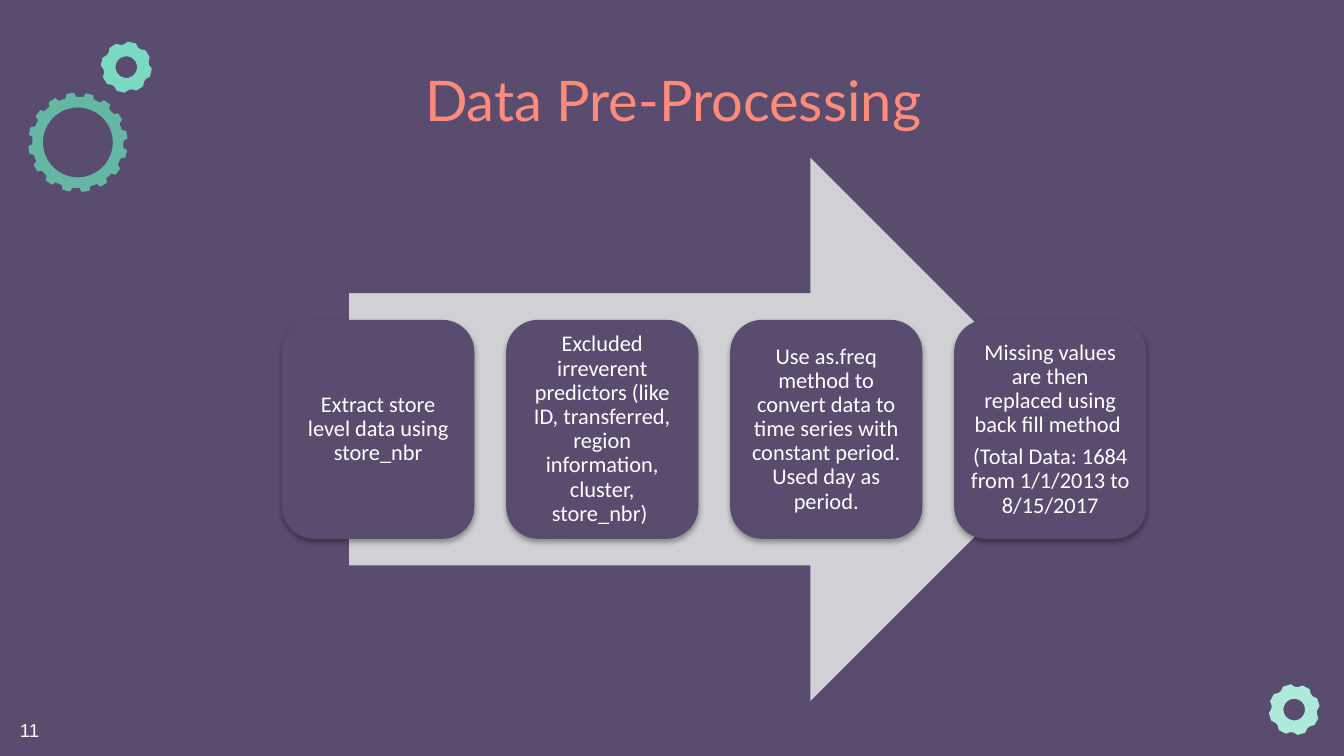
from math import cos, radians, sin

from lxml import etree
from pptx import Presentation
from pptx.dml.color import RGBColor
from pptx.enum.shapes import MSO_SHAPE
from pptx.enum.text import MSO_ANCHOR, MSO_AUTO_SIZE, PP_ALIGN
from pptx.oxml.ns import qn
from pptx.util import Inches, Pt

RIGHT_ARROW = MSO_SHAPE.RIGHT_ARROW
ROUNDED_RECTANGLE = MSO_SHAPE.ROUNDED_RECTANGLE
TOP, MIDDLE = MSO_ANCHOR.TOP, MSO_ANCHOR.MIDDLE
LEFT, CENTER = PP_ALIGN.LEFT, PP_ALIGN.CENTER
NO_AUTOFIT = MSO_AUTO_SIZE.NONE

PURPLE = RGBColor(0x59, 0x4C, 0x6F)
GREY = RGBColor(0xD1, 0xD0, 0xD5)
CORAL = RGBColor(0xFF, 0x8B, 0x7B)
WHITE = RGBColor(0xFF, 0xFF, 0xFF)
DARK_TEAL = RGBColor(0x64, 0xB7, 0xA2)
TEAL = RGBColor(0x7B, 0xD9, 0xC1)
LIGHT_TEAL = RGBColor(0xAE, 0xEA, 0xDA)

STEPS = [
    ["Extract store level data using store_nbr"],
    ["Excluded irreverent predictors (like ID, transferred, region "
     "information, cluster, store_nbr) "],
    ["Use as.freq method to convert data to time series with constant "
     "period. Used day as period."],
    ["Missing values are then replaced using back fill method ",
     "(Total Data: 1684 from 1/1/2013 to 8/15/2017"],
]
STEP_LEFT, STEP_TOP, STEP_PITCH = 2.1, 2.38, 5 / 3
STEP_WIDTH, STEP_HEIGHT = 1.43, 1.63


def write_text(shape, lines, *, size, font, color, align=LEFT, anchor=TOP,
               inset_x=0.1, inset_y=0.1, line_spacing=1.0, space_after=0):
    """Fill a shape with formatted paragraphs."""
    frame = shape.text_frame
    frame.word_wrap = True
    frame.auto_size = NO_AUTOFIT
    frame.vertical_anchor = anchor
    frame.margin_left = frame.margin_right = Inches(inset_x)
    frame.margin_top = frame.margin_bottom = Inches(inset_y)
    frame.text = "\n".join(lines)
    for paragraph in frame.paragraphs:
        paragraph.alignment = align
        paragraph.line_spacing = line_spacing
        paragraph.space_before = Pt(0)
        paragraph.space_after = Pt(space_after)
        paragraph.font.size = Pt(size)
        paragraph.font.name = font
        paragraph.font.color.rgb = color


def add_soft_shadow(shape):
    """Give a shape a soft black shadow straight below it."""
    shape.shadow.inherit = False
    effects = shape._element.spPr.find(qn("a:effectLst"))
    shadow = etree.SubElement(effects, qn("a:outerShdw"), blurRad=str(Pt(3.1)),
                              dist=str(Pt(1.8)), dir="5400000", rotWithShape="0")
    black = etree.SubElement(shadow, qn("a:srgbClr"), val="000000")
    etree.SubElement(black, qn("a:alpha"), val="35000")


def polar_point(center, radius, angle):
    """Return the point at a clockwise angle from twelve o'clock."""
    x, y = center
    turn = radians(angle)
    return Inches(x + radius * sin(turn)), Inches(y - radius * cos(turn))


def add_gear(slide, center, *, teeth, outer, root, hole, base, start, rotation, color):
    """Draw a toothed wheel with a round hole."""
    pitch = 360 / teeth
    profile = [(-base, root), (-0.2, outer), (0.2, outer), (base, root)]
    rim = [polar_point(center, radius, start + (tooth + offset) * pitch)
           for tooth in range(teeth) for offset, radius in profile]
    opening = [polar_point(center, hole, -angle) for angle in range(0, 360, 6)]
    builder = slide.shapes.build_freeform(*rim[0])
    builder.add_line_segments(rim[1:], close=True)
    builder.move_to(*opening[0])
    builder.add_line_segments(opening[1:], close=True)
    gear = builder.convert_to_shape()
    gear.rotation = rotation
    gear.shadow.inherit = False
    gear.fill.solid()
    gear.fill.fore_color.rgb = color
    gear.line.fill.background()


def add_gears(slide):
    """Draw the three corner gears."""
    small = dict(teeth=8, outer=0.19, root=0.17, hole=0.08, base=0.41)
    add_gear(slide, (0.58, 1.06), teeth=16, outer=0.37, root=0.34, hole=0.26,
             base=0.3, start=7, rotation=6.6, color=DARK_TEAL)
    add_gear(slide, (0.94, 0.5), **small, start=6, rotation=6.6, color=TEAL)
    add_gear(slide, (9.63, 5.28), **small, start=-9, rotation=352.3, color=LIGHT_TEAL)


def add_title(slide, text):
    """Place and format the title."""
    title = slide.shapes.title
    title.left, title.top = Inches(0.78), Inches(0.39)
    title.width, title.height = Inches(8.46), Inches(0.63)
    write_text(title, [text], size=30, font="Lato", color=CORAL, align=CENTER)


def add_arrow(slide):
    """Draw the wide arrow behind the steps."""
    arrow = slide.shapes.add_shape(RIGHT_ARROW, Inches(2.59), Inches(1.16),
                                   Inches(5.47), Inches(4.07))
    arrow.shadow.inherit = False
    arrow.fill.solid()
    arrow.fill.fore_color.rgb = GREY
    arrow.line.color.rgb = PURPLE
    arrow.line.width = Pt(0.75)


def add_step(slide, index, lines):
    """Draw one step card on the arrow."""
    card = slide.shapes.add_shape(
        ROUNDED_RECTANGLE, Inches(STEP_LEFT + index * STEP_PITCH),
        Inches(STEP_TOP), Inches(STEP_WIDTH), Inches(STEP_HEIGHT))
    card.fill.solid()
    card.fill.fore_color.rgb = PURPLE
    card.line.fill.background()
    add_soft_shadow(card)
    write_text(card, lines, size=12, font="Calibri", color=WHITE, align=CENTER,
               anchor=MIDDLE, inset_x=0.05, inset_y=0.05, line_spacing=0.9,
               space_after=4.2)


def add_page_number(slide, text):
    """Write the page number in the lower left corner."""
    box = slide.shapes.add_textbox(Inches(0.05), Inches(5.3), Inches(0.38), Inches(0.28))
    write_text(box, [text], size=10, font="Arial", color=WHITE, inset_y=0.05)


def main():
    """Build and save the presentation."""
    presentation = Presentation()
    presentation.slide_width = Inches(10)
    presentation.slide_height = Inches(10 * 9 / 16)
    slide = presentation.slides.add_slide(presentation.slide_layouts[5])
    slide.background.fill.solid()
    slide.background.fill.fore_color.rgb = PURPLE
    add_gears(slide)
    add_title(slide, "Data Pre-Processing")
    add_arrow(slide)
    for index, lines in enumerate(STEPS):
        add_step(slide, index, lines)
    add_page_number(slide, "11")
    presentation.save("out.pptx")


if __name__ == "__main__":
    main()
